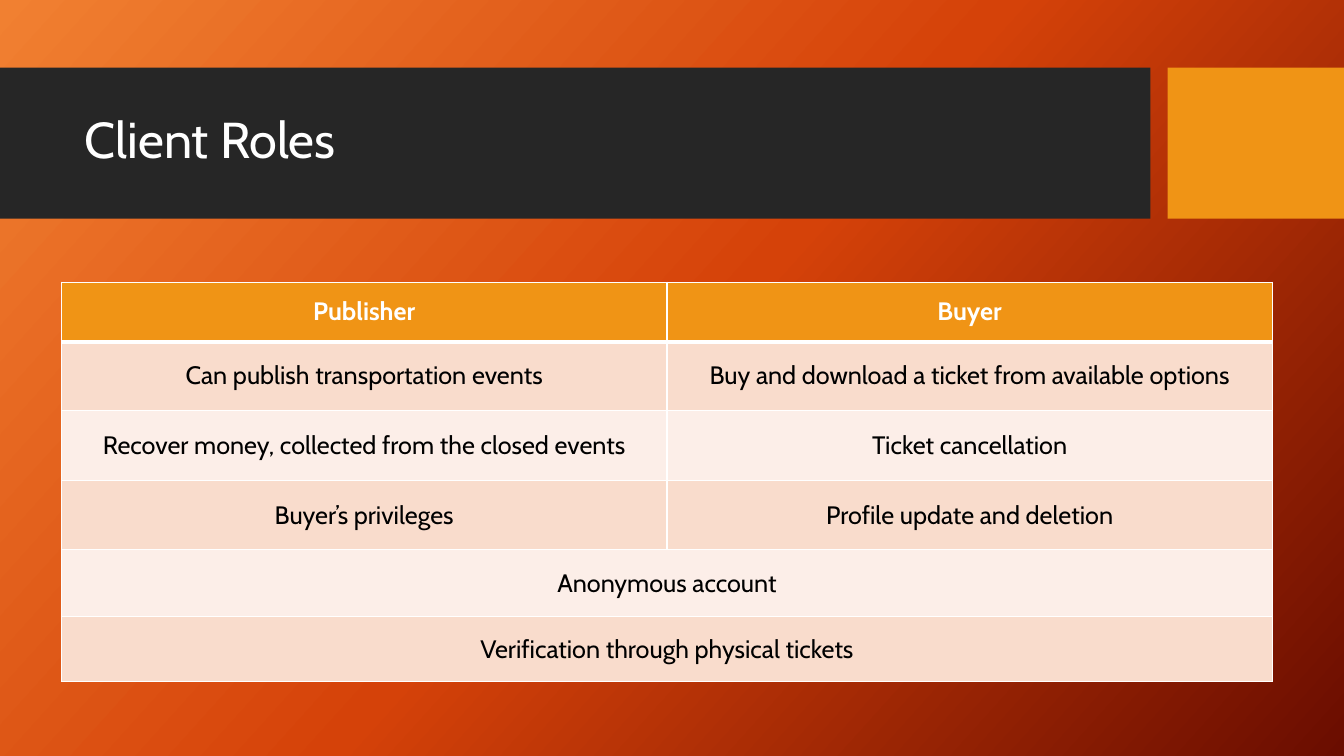
from copy import deepcopy

from lxml import etree
from pptx import Presentation
from pptx.dml.color import RGBColor
from pptx.enum import shapes, text
from pptx.oxml.ns import qn
from pptx.util import Inches, Pt

WHITE = RGBColor(0xFF, 0xFF, 0xFF)
BLACK = RGBColor(0x00, 0x00, 0x00)
CHARCOAL = RGBColor(0x26, 0x26, 0x26)
AMBER = RGBColor(0xF0, 0x94, 0x15)
PEACH = RGBColor(0xF9, 0xDC, 0xCC)
PALE_PEACH = RGBColor(0xFC, 0xEE, 0xE8)
GLOW = [(0, RGBColor(0xF1, 0x80, 0x31)),
        (0.5, RGBColor(0xD5, 0x42, 0x09)),
        (1, RGBColor(0x6A, 0x0D, 0x00))]
FONT = "Cabin"


def write(frame, words, size, color, bold=False):
    frame.vertical_anchor = text.MSO_ANCHOR.MIDDLE
    paragraph = frame.paragraphs[0]
    run = paragraph.add_run()
    run.text = words
    run.font.color.rgb = color
    for key, value in {"name": FONT, "size": Pt(size), "bold": bold}.items():
        setattr(run.font, key, value)
    return paragraph


def add_borders(cell, widths):
    properties = cell._tc.get_or_add_tcPr()
    for position, (side, width) in enumerate(widths.items()):
        line = etree.Element(qn(f"a:ln{side}"), w=str(Pt(width)))
        fill = etree.SubElement(line, qn("a:solidFill"))
        etree.SubElement(fill, qn("a:srgbClr"), val=str(WHITE))
        properties.insert(position, line)


prs = Presentation()
prs.slide_width, prs.slide_height = Inches(13.33), Inches(7.5)
slide = prs.slides.add_slide(prs.slide_layouts[6])

# Background gradient with three stops
backdrop = slide.background.fill
backdrop.gradient()
backdrop.gradient_angle = 360 - 42
stop_list = slide.element.find(".//" + qn("a:gsLst"))
stop_list.append(deepcopy(stop_list[-1]))
for stop, (position, color) in zip(backdrop.gradient_stops, GLOW):
    stop.position = position
    stop.color.rgb = color

# Title band and accent block
for left, width, color in [(0, 11.41, CHARCOAL), (11.58, 1.75, AMBER)]:
    band = slide.shapes.add_shape(shapes.MSO_SHAPE.RECTANGLE, Inches(left),
                                  Inches(0.67), Inches(width), Inches(1.5))
    band.shadow.inherit = False
    band.fill.solid()
    band.fill.fore_color.rgb = color
    band.line.fill.background()

# Title
title = slide.shapes.add_textbox(Inches(0.74), Inches(0.82), Inches(10.51), Inches(1.18))
title.text_frame.word_wrap = True
write(title.text_frame, "Client Roles", 36, WHITE).line_spacing = 0.9

# Roles table: a single entry spans both columns
roles = [
    ("Publisher", "Buyer"),
    ("Can publish transportation events", "Buy and download a ticket from available options"),
    ("Recover money, collected from the closed events", "Ticket cancellation"),
    ("Buyer’s privileges", "Profile update and deletion"),
    ("Anonymous account",),
    ("Verification through physical tickets",),
]
row_heights = [0.59, 0.68, 0.7, 0.68, 0.67, 0.64]
table = slide.shapes.add_table(len(roles), 2, Inches(0.61), Inches(2.8),
                               Inches(12.01), Inches(3.95)).table
for row_index, (entries, height) in enumerate(zip(roles, row_heights)):
    table.rows[row_index].height = Inches(height)
    header = row_index == 0
    row_fill = AMBER if header else PEACH if row_index % 2 else PALE_PEACH
    borders = {"L": 1, "R": 1, "T": 3 if row_index == 1 else 1, "B": 3 if header else 1}
    for column in range(2):
        cell = table.cell(row_index, column)
        cell.fill.solid()
        cell.fill.fore_color.rgb = row_fill
        add_borders(cell, borders)
    if len(entries) == 1:
        table.cell(row_index, 0).merge(table.cell(row_index, 1))
    for column, entry in enumerate(entries):
        cell = table.cell(row_index, column)
        cell.vertical_anchor = text.MSO_ANCHOR.MIDDLE
        paragraph = write(cell.text_frame, entry, 18, WHITE if header else BLACK, header)
        paragraph.alignment = text.PP_ALIGN.CENTER

prs.save("out.pptx")
